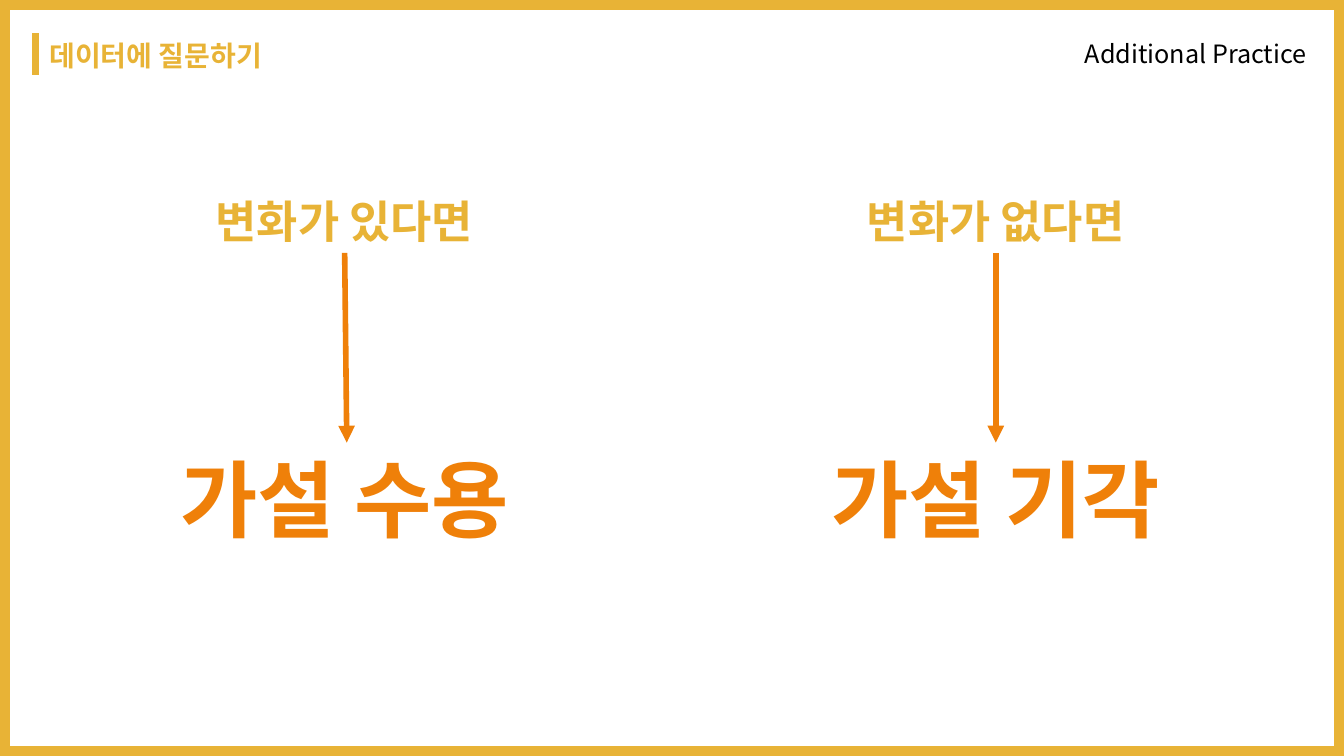
from lxml.etree import SubElement
from pptx import Presentation
from pptx.dml.color import RGBColor
from pptx.enum.shapes import MSO_CONNECTOR as Connector, MSO_SHAPE as Shape
from pptx.enum.text import MSO_AUTO_SIZE as AutoSize, PP_ALIGN as Align
from pptx.oxml.ns import qn
from pptx.util import Pt

WIDTH, HEIGHT = 960, 540
GOLD, ORANGE, BLACK = "E8B336", "EF8009", "000000"
BOTTOM, TOP = 2, 0


def color(hex_value):
    return RGBColor.from_string(hex_value)


class Painter:
    """Draws on one slide in a single font; all lengths are in points."""

    def __init__(self, slide, font):
        self.shapes = slide.shapes
        self.font = font

    def frame(self, width, height, ink, weight):
        border = self.shapes.add_shape(Shape.RECTANGLE, 0, 0, Pt(width), Pt(height))
        border.shadow.inherit = False
        border.fill.background()
        border.line.color.rgb = color(ink)
        border.line.width = Pt(weight)

    def text(self, words, left, top, width, height, size, ink,
             bold=True, align=Align.CENTER):
        box = self.shapes.add_textbox(Pt(left), Pt(top), Pt(width), Pt(height))
        box.text_frame.word_wrap = True
        box.text_frame.auto_size = AutoSize.SHAPE_TO_FIT_TEXT
        paragraph = box.text_frame.paragraphs[0]
        paragraph.alignment = align
        run = paragraph.add_run()
        run.text = words
        run.font.size = Pt(size)
        run.font.bold = bold
        run.font.color.rgb = color(ink)
        run.font.name = self.font
        SubElement(run.font._element, qn("a:ea"), typeface=self.font)
        return box

    def line(self, x1, y1, x2, y2, ink, weight):
        stroke = self.shapes.add_connector(
            Connector.STRAIGHT, Pt(x1), Pt(y1), Pt(x2), Pt(y2))
        stroke.line.color.rgb = color(ink)
        stroke.line.width = Pt(weight)
        SubElement(stroke._element.spPr, qn("a:effectLst"))
        return stroke

    def arrow(self, x1, y1, x2, y2, ink, weight):
        stroke = self.line(x1, y1, x2, y2, ink, weight)
        SubElement(stroke.line._get_or_add_ln(), qn("a:tailEnd"), type="triangle")
        return stroke


def main():
    deck = Presentation()
    deck.slide_width, deck.slide_height = Pt(WIDTH), Pt(HEIGHT)
    painter = Painter(deck.slides.add_slide(deck.slide_layouts[6]), "Noto Sans CJK KR")

    painter.frame(WIDTH, HEIGHT, GOLD, 14)
    painter.line(25.2, 23.8, 25.2, 53.3, GOLD, 5)
    painter.text("데이터에 질문하기", 28.1, 23.8, 351.4, 31.5, 20, GOLD, align=Align.LEFT)
    painter.text("Additional Practice", 589, 23.8, 351.4, 29, 18, BLACK,
                 bold=False, align=Align.RIGHT)

    column_width = 285
    condition_top, condition_height = 134.6, 46.1
    verdict_top, verdict_height = 316.1, 80
    outcomes = [
        (103.7, "변화가 있다면", "가설 수용", 1.5),
        (568.8, "변화가 없다면", "가설 기각", 0),
    ]
    for left, condition_words, verdict_words, drift in outcomes:
        condition = painter.text(condition_words, left, condition_top,
                                 column_width, condition_height, 32, GOLD)
        verdict = painter.text(verdict_words, left, verdict_top,
                               column_width, verdict_height, 60, ORANGE)
        middle = left + column_width / 2
        arrow = painter.arrow(middle, condition_top + condition_height,
                              middle + drift, verdict_top, ORANGE, 4)
        arrow.begin_connect(condition, BOTTOM)
        if not drift:
            arrow.end_connect(verdict, TOP)

    deck.save("out.pptx")


if __name__ == "__main__":
    main()
